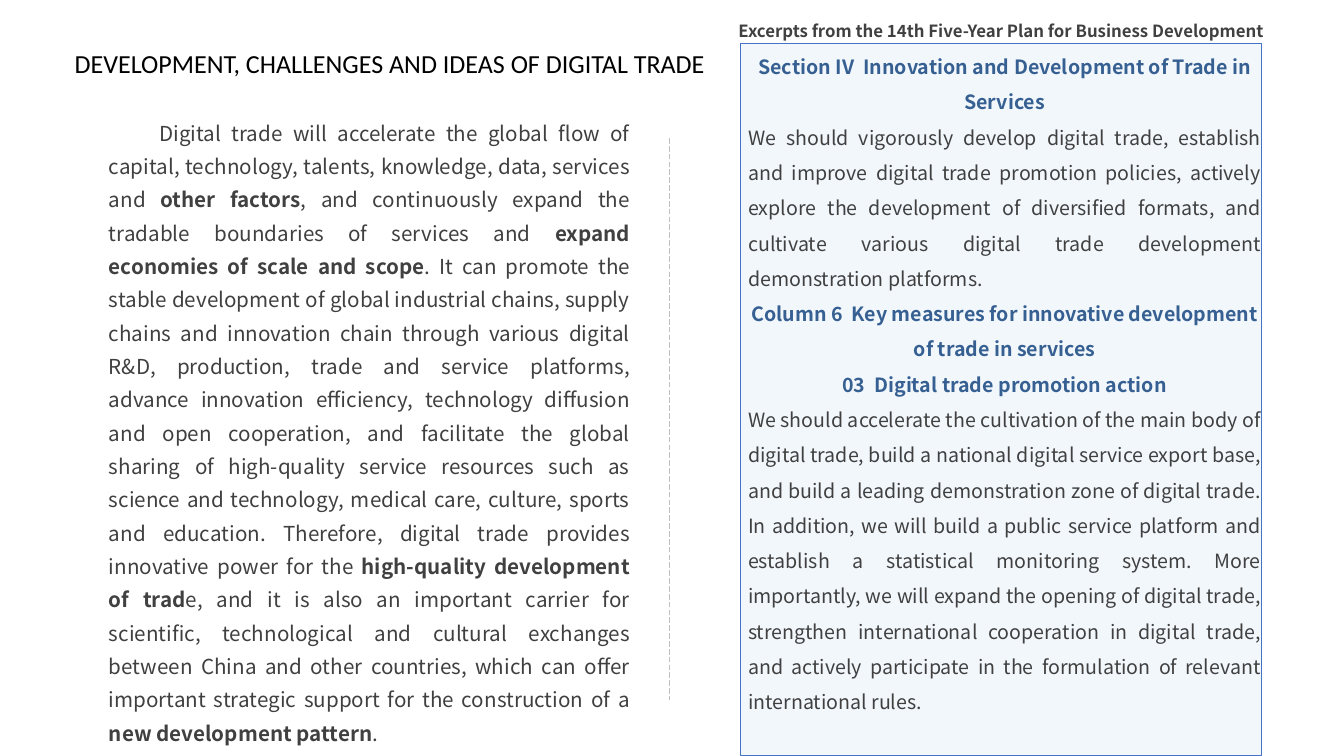
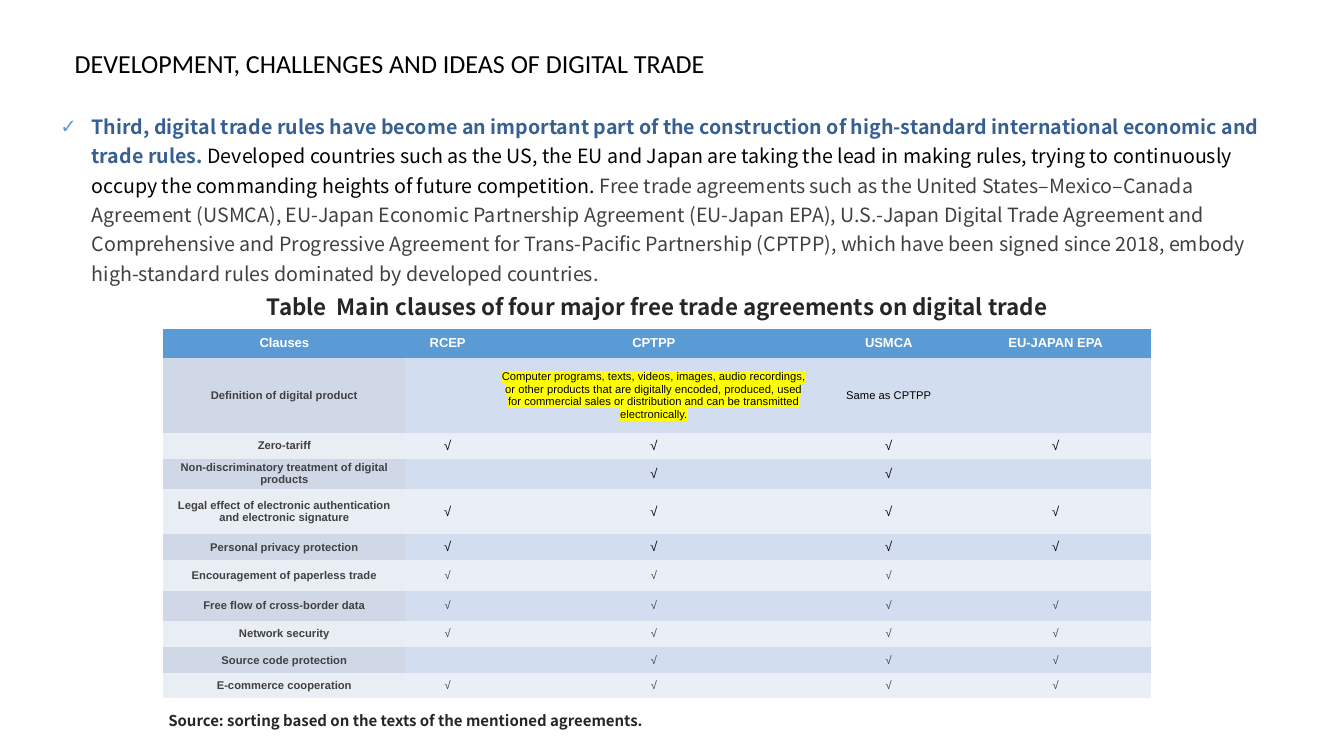
"""Build two slides on the development and rules of digital trade."""
from lxml import etree
from pptx import Presentation
from pptx import util as u
from pptx.dml.color import RGBColor
from pptx.enum import dml, shapes, text
from pptx.oxml.ns import qn

TITLE = "DEVELOPMENT, CHALLENGES AND IDEAS OF DIGITAL TRADE"
SANS, SANS_JP = "Noto Sans CJK SC", "Noto Sans CJK JP"
BLACK, WHITE, GRAY, DARK = "000000", "FFFFFF", "404040", "262626"
NAVY, SKY = "376092", "5B9BD5"
LEFT, CENTER, JUSTIFY = text.PP_ALIGN.LEFT, text.PP_ALIGN.CENTER, text.PP_ALIGN.JUSTIFY
LINE_HEIGHT = 1.2

OUTLOOK = [
    ("Digital trade will accelerate the global flow of capital, technology, talents, "
     "knowledge, data, services and ", False),
    ("other factors", True),
    (", and continuously expand the tradable boundaries of services and ", False),
    ("expand economies of scale and scope", True),
    (". It can promote the stable development of global industrial chains, supply chains "
     "and innovation chain through various digital R&D, production, trade and service "
     "platforms, advance innovation efficiency, technology diffusion and open cooperation, "
     "and facilitate the global sharing of high-quality service resources such as science "
     "and technology, medical care, culture, sports and education. Therefore, digital trade "
     "provides innovative power for the ", False),
    ("high-quality development of trad", True),
    ("e, and it is also an important carrier for scientific, technological and cultural "
     "exchanges between China and other countries, which can offer important strategic "
     "support for the construction of a ", False),
    ("new development pattern", True),
    (".", False),
]
EXCERPTS = [
    ("Section IV  Innovation and Development of Trade in Services", True),
    ("We should vigorously develop digital trade, establish and improve digital trade "
     "promotion policies, actively explore the development of diversified formats, and "
     "cultivate various digital trade development demonstration platforms.", False),
    ("Column 6  Key measures for innovative development of trade in services", True),
    ("03  Digital trade promotion action", True),
    ("We should accelerate the cultivation of the main body of digital trade, build a "
     "national digital service export base, and build a leading demonstration zone of "
     "digital trade. In addition, we will build a public service platform and establish a "
     "statistical monitoring system. More importantly, we will expand the opening of digital "
     "trade, strengthen international cooperation in digital trade, and actively participate "
     "in the formulation of relevant international rules.", False),
]
RULES = [
    ("Third, digital trade rules have become an important part of the construction of "
     "high-standard international economic and trade rules. ", True, NAVY),
    ("Developed countries such as the US, the EU and Japan are taking the lead in making "
     "rules, trying to continuously occupy the commanding heights of future competition. ",
     False, BLACK),
    ("Free trade agreements such as the United States–Mexico–Canada Agreement (USMCA), "
     "EU-Japan Economic Partnership Agreement (EU-Japan EPA), U.S.-Japan Digital Trade "
     "Agreement and Comprehensive and Progressive Agreement for Trans-Pacific Partnership "
     "(CPTPP), which have been signed since 2018, embody high-standard rules dominated by "
     "developed countries.", False, GRAY),
]
DEFINITION = ("Computer programs, texts, videos, images, audio recordings, or other products "
              "that are digitally encoded, produced, used for commercial sales or "
              "distribution and can be transmitted electronically.")
TICK = "√"
CLAUSES = [
    ("Clauses", "RCEP", "CPTPP", "USMCA", "EU-JAPAN EPA"),
    ("Definition of digital product", "", DEFINITION, "Same as CPTPP", ""),
    ("Zero-tariff", TICK, TICK, TICK, TICK),
    ("Non-discriminatory treatment of digital products", "", TICK, TICK, ""),
    ("Legal effect of electronic authentication and electronic signature",
     TICK, TICK, TICK, TICK),
    ("Personal privacy protection", TICK, TICK, TICK, TICK),
    ("Encouragement of paperless trade", TICK, TICK, TICK, ""),
    ("Free flow of cross-border data", TICK, TICK, TICK, TICK),
    ("Network security", TICK, TICK, TICK, TICK),
    ("Source code protection", "", TICK, TICK, TICK),
    ("E-commerce cooperation", TICK, TICK, TICK, TICK),
]
COLUMN_WIDTHS = [2.4, 0.84, 3.25, 1.41, 1.9]
ROW_HEIGHTS = [0.29, 0.75, 0.25, 0.3, 0.45, 0.26, 0.3, 0.3, 0.26, 0.26, 0.25]
LABEL_FILLS, VALUE_FILLS = ("E9EDF4", "D0D8E8"), ("EAEFF7", "D2DEEF")
NO_STYLE = "{2D5ABB26-0587-4C30-8999-92F81FD0307C}"


def rgb(value):
    """Turn a hex string into a colour."""
    return RGBColor.from_string(value)


def inches(*lengths):
    """Turn numbers into lengths in inches."""
    return [u.Inches(length) for length in lengths]


def move(shape, left, top, width, height):
    """Place a shape on its slide."""
    shape.left, shape.top, shape.width, shape.height = inches(left, top, width, height)


def set_frame(shape, margins=(0, 0, 0, 0), anchor=text.MSO_ANCHOR.TOP):
    """Set wrapping, margins and anchor of a shape's text and return its frame."""
    frame = shape.text_frame
    frame.word_wrap = True
    frame.auto_size = text.MSO_AUTO_SIZE.NONE
    frame.vertical_anchor = anchor
    (frame.margin_left, frame.margin_top,
     frame.margin_right, frame.margin_bottom) = inches(*margins)
    return frame


def set_font(font, size, color, bold=False, name=SANS):
    """Set the face, size, colour and weight of a font."""
    font.name, font.size, font.bold = name, u.Pt(size), bold
    font.color.rgb = rgb(color)


def set_spacing(para, align, size, lines, after=0):
    """Align a paragraph and set its line pitch."""
    para.alignment = align
    para.line_spacing = u.Pt(size * LINE_HEIGHT * lines)
    para.space_before, para.space_after = u.Pt(0), u.Pt(after)


def set_indent(para, left, first=0, bullet=None):
    """Indent a paragraph and give it a bullet or none."""
    props = para._p.get_or_add_pPr()
    props.set("marL", str(u.Inches(left)))
    props.set("indent", str(u.Inches(first)))
    if bullet:
        color = etree.SubElement(props, qn("a:buClr"))
        etree.SubElement(color, qn("a:srgbClr"), val=SKY)
        etree.SubElement(props, qn("a:buChar"), char=bullet)
    else:
        etree.SubElement(props, qn("a:buNone"))


def add_span(para, words, bold, color):
    """Add a run with its own weight and colour."""
    span = para.add_run()
    span.text = words
    span.font.bold = bold
    span.font.color.rgb = rgb(color)
    return span


def add_slide(deck, title_width):
    """Add a slide with the shared title style."""
    page = deck.slides.add_slide(deck.slide_layouts[1])
    title = page.shapes.title
    move(title, 0.64, 0.42, title_width, 0.41)
    title.fill.solid()
    title.fill.fore_color.rgb = rgb(WHITE)
    title.line.color.rgb = rgb(WHITE)
    title.line.width = u.Pt(0.75)
    frame = set_frame(title, (0.1, 0.05, 0.1, 0.05), text.MSO_ANCHOR.MIDDLE)
    para = frame.paragraphs[0]
    para.text, para.alignment = TITLE, LEFT
    set_font(para.font, 18.6, BLACK, name="Calibri")
    return page


def add_caption(page, place, words, size, color, lines=1, margin=0.05):
    """Add a bold centred line of text."""
    box = page.shapes.add_textbox(*inches(*place))
    para = set_frame(box, (0, margin, 0, margin)).paragraphs[0]
    para.text = words
    set_spacing(para, CENTER, size, lines)
    set_font(para.font, size, color, bold=True)


def add_divider(page, x, top, bottom):
    """Add a dashed vertical line."""
    line = page.shapes.add_connector(shapes.MSO_CONNECTOR.STRAIGHT, *inches(x, top, x, bottom))
    line.line.color.rgb = rgb("BFBFBF")
    line.line.width = u.Pt(0.5)
    line.line.dash_style = dml.MSO_LINE.LONG_DASH
    etree.SubElement(line._element.spPr, qn("a:effectLst"))


def add_excerpts(page):
    """Add the tinted panel of plan excerpts."""
    panel = page.shapes.add_shape(shapes.MSO_SHAPE.RECTANGLE, *inches(7.34, 0.43, 5.17, 7.07))
    panel.shadow.inherit = False
    panel.fill.solid()
    panel.fill.fore_color.rgb = rgb("DEEBF7")
    tint = panel._element.spPr.find(qn("a:solidFill"))[0]
    etree.SubElement(tint, qn("a:alpha"), val="37000")
    panel.line.color.rgb = rgb("4472C4")
    panel.line.width = u.Pt(0.75)
    frame = set_frame(panel)
    for index, (words, heading) in enumerate(EXCERPTS):
        para = frame.add_paragraph() if index else frame.paragraphs[0]
        para.text = words
        set_indent(para, 0.08)
        set_spacing(para, CENTER if heading else JUSTIFY, 14, 1.5)
        set_font(para.font, 14, NAVY if heading else GRAY, heading, SANS_JP)


def fill_cell(cell, words, row, column):
    """Write and colour one cell of the clause table."""
    header, label = row == 0, column == 0
    cell.fill.solid()
    fills = LABEL_FILLS if label else VALUE_FILLS
    cell.fill.fore_color.rgb = rgb(SKY if header else fills[row % 2])
    cell.vertical_anchor = text.MSO_ANCHOR.MIDDLE
    cell.margin_left = cell.margin_right = u.Inches(0.09)
    cell.margin_top = cell.margin_bottom = 0
    large = header or (words == TICK and row < 6)
    color = WHITE if header else GRAY if label or row > 5 else BLACK
    para = cell.text_frame.paragraphs[0]
    para.alignment = CENTER
    set_font(para.font, 9.3 if large else 8, color, header or label, "Arial")
    if words:
        span = add_span(para, words, header or label, color)
        if words == DEFINITION:
            mark = etree.SubElement(span._r.get_or_add_rPr(), qn("a:highlight"))
            etree.SubElement(mark, qn("a:srgbClr"), val="FFFF00")
    else:
        etree.SubElement(para._p, qn("a:endParaRPr"), sz="800")


def add_clause_table(page):
    """Add the table of clauses by agreement."""
    place = inches(1.62, 3.26, sum(COLUMN_WIDTHS), sum(ROW_HEIGHTS))
    table = page.shapes.add_table(len(CLAUSES), len(COLUMN_WIDTHS), *place).table
    table._tbl.tblPr.find(qn("a:tableStyleId")).text = NO_STYLE
    for column, width in zip(table.columns, COLUMN_WIDTHS):
        column.width = u.Inches(width)
    for row, height in zip(table.rows, ROW_HEIGHTS):
        row.height = u.Inches(height)
    for row, values in enumerate(CLAUSES):
        for column, words in enumerate(values):
            fill_cell(table.cell(row, column), words, row, column)


def build_outlook(deck):
    """Build the slide with the outlook and the plan excerpts."""
    page = add_slide(deck, 6.54)
    body = page.placeholders[1]
    move(body, 1.08, 1.11, 5.17, 6.34)
    para = set_frame(body).paragraphs[0]
    set_indent(para, 0, 0.5)
    set_spacing(para, JUSTIFY, 14.7, 1.35, after=3)
    set_font(para.font, 14.7, GRAY)
    for words, bold in OUTLOOK:
        add_span(para, words, bold, GRAY)
    add_excerpts(page)
    add_divider(page, 6.64, 1.37, 6.94)
    add_caption(page, (6.64, 0.11, 6.58, 0.3),
                "Excerpts from the 14th Five-Year Plan for Business Development",
                12, GRAY, lines=1.5, margin=0)


def build_rules(deck):
    """Build the slide with the trade rules and the clause table."""
    page = add_slide(deck, 11.21)
    body = page.placeholders[1]
    move(body, 0.5, 1.03, 12.17, 1.87)
    para = set_frame(body, (0.1, 0.05, 0.1, 0.05)).paragraphs[0]
    set_indent(para, 0.31, -0.31, "✓")
    set_spacing(para, LEFT, 14, 1.25)
    set_font(para.font, 14, GRAY)
    for words, bold, color in RULES:
        add_span(para, words, bold, color)
    add_clause_table(page)
    add_caption(page, (2.39, 2.86, 8.26, 0.37),
                "Table  Main clauses of four major free trade agreements on digital trade",
                16, DARK)
    add_caption(page, (1.48, 7.01, 5.09, 0.28),
                "Source: sorting based on the texts of the mentioned agreements.", 10.7, DARK)


def main():
    """Build and save the deck."""
    deck = Presentation()
    deck.slide_width, deck.slide_height = inches(13.33, 7.5)
    build_outlook(deck)
    build_rules(deck)
    deck.save("out.pptx")


if __name__ == "__main__":
    main()
